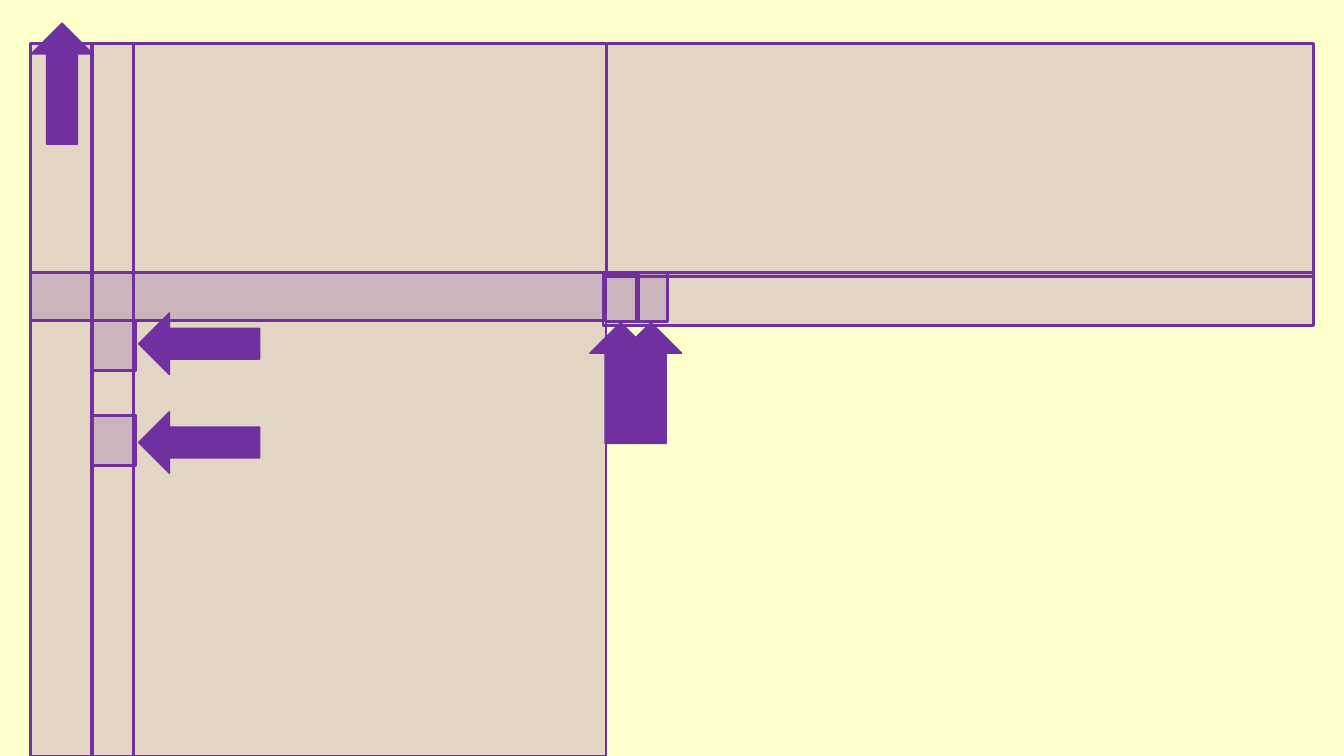
import pptx
import pptx.util
import pptx.dml.color
import pptx.enum.shapes
from lxml import etree

Inches = pptx.util.Inches
SHAPE = pptx.enum.shapes.MSO_SHAPE
COLORS = {"background": "FFFFCC", "purple": "7030A0"}
RGB = {name: pptx.dml.color.RGBColor.from_string(c) for name, c in COLORS.items()}

prs = pptx.Presentation()
prs.slide_width, prs.slide_height = Inches(13.33), Inches(7.5)
s = prs.slides.add_slide(prs.slide_layouts[6])
s.background.fill.solid()
s.background.fill.fore_color.rgb = RGB["background"]


def add_purple(kind, box, line_width):
    sp = s.shapes.add_shape(kind, *[Inches(v) for v in box])
    sp.shadow.inherit = False
    sp.fill.solid()
    sp.fill.fore_color.rgb = sp.line.color.rgb = RGB["purple"]
    sp.line.width = pptx.util.Pt(line_width)
    return sp


def add_region(*box):
    """Add an outlined rectangle with a 20 % opaque fill."""
    sp = add_purple(SHAPE.RECTANGLE, box, 2)
    color = sp.fill._xPr.solidFill[0]
    alpha = etree.SubElement(color, pptx.oxml.ns.qn("a:alpha"))
    alpha.set("val", "20000")


top = 0.43
arrow_size = (0.61, 1.2)

# Full-height columns
for left, width in [(0.3, 0.62), (0.91, 0.41), (1.32, 4.69)]:
    add_region(left, top, width, 7.5 - top)

# Horizontal bands
add_region(0.3, 2.7, 5.71, 0.48)
add_region(5.98, 2.7, 7.05, 0.53)

# Small cells on the right band, each pointed at from below
for arrow_left, cell in [(5.85, (6.01, 2.71, 0.32, 0.48)),
                         (6.15, (6.31, 2.7, 0.31, 0.49))]:
    add_purple(SHAPE.UP_ARROW, (arrow_left, 3.2, *arrow_size), 1)
    add_region(*cell)

# Arrows pointing left at the cells of the narrow column
for arrow_top in (2.81, 3.79):
    arrow = add_purple(SHAPE.UP_ARROW, (1.67, arrow_top, *arrow_size), 1)
    arrow.rotation = 270
for cell_top in (3.18, 4.12):
    add_region(0.91, cell_top, 0.44, 0.5)

# Upper right area and the arrow over the first column
add_region(6.02, top, 7.01, 2.31)
add_purple(SHAPE.UP_ARROW, (0.31, 0.23, *arrow_size), 1)

prs.save("out.pptx")
